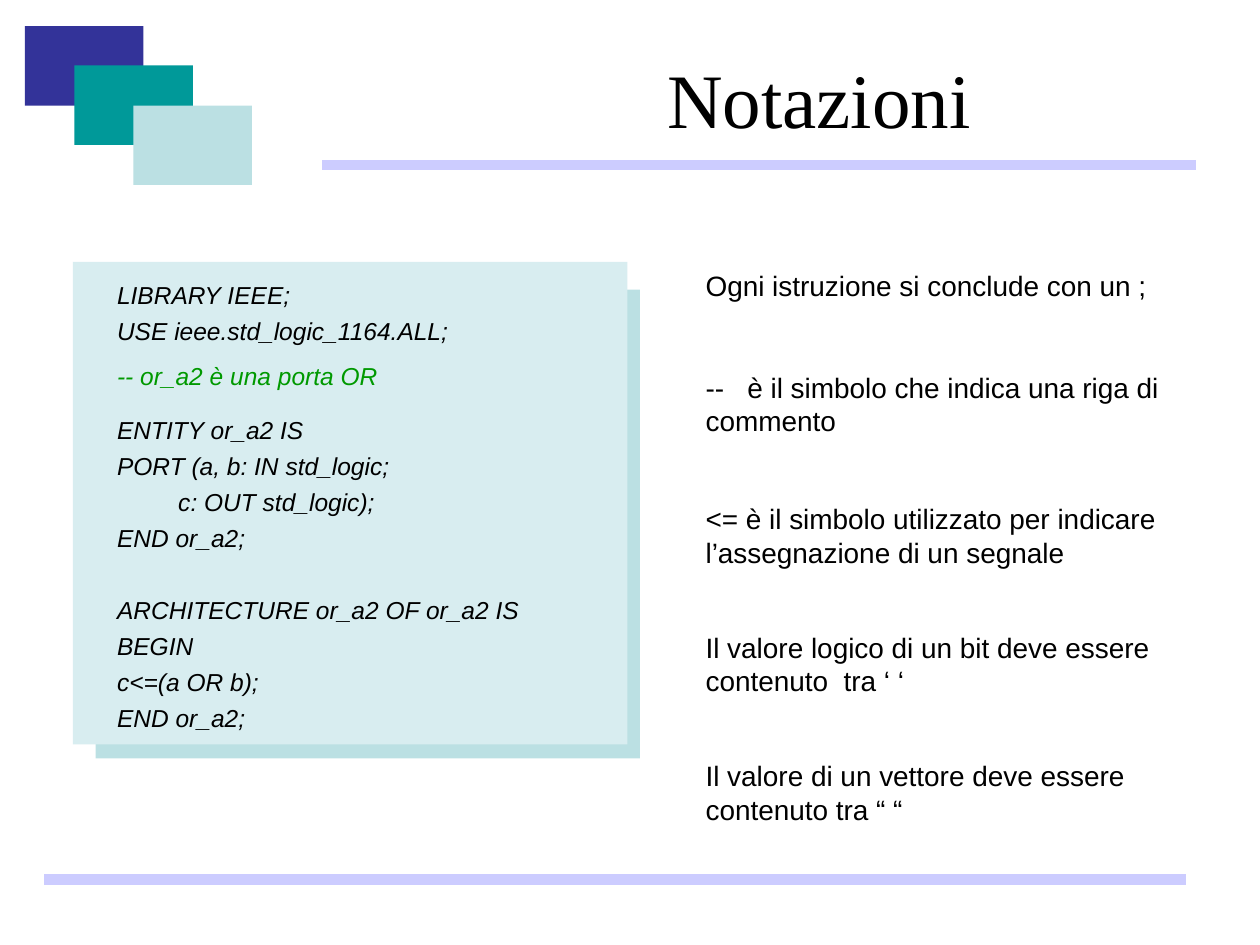
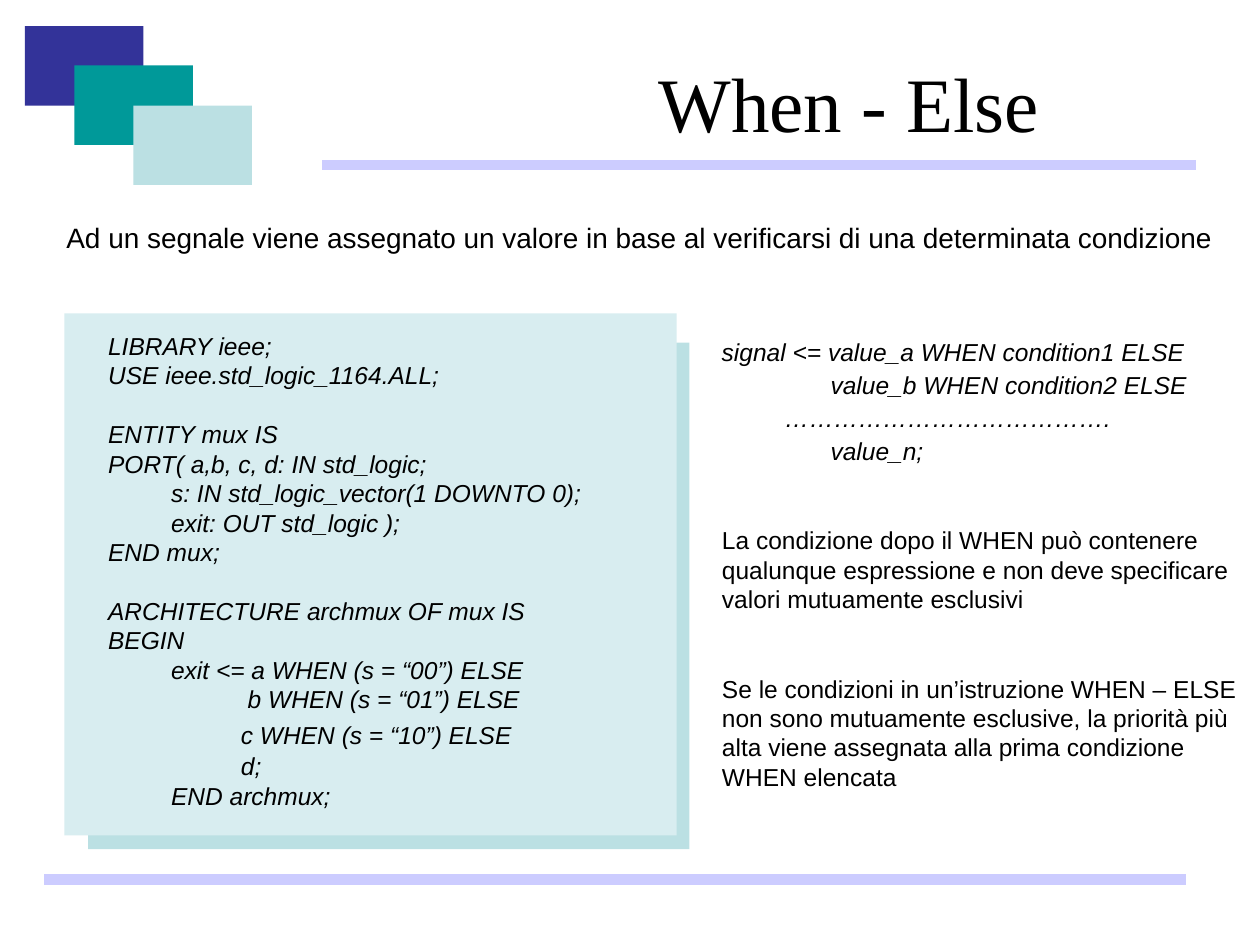
from dataclasses import dataclass

from lxml.etree import SubElement
from pptx import Presentation
from pptx.dml.color import RGBColor
from pptx.enum.shapes import MSO_CONNECTOR as Connector, MSO_SHAPE as Shape
from pptx.enum.text import MSO_ANCHOR as Anchor, MSO_AUTO_SIZE as AutoSize, PP_ALIGN as Align
from pptx.oxml.ns import qn
from pptx.util import Cm, Pt

COLORS = {
    "text": "000000",
    "comment": "009900",
    "navy": "333399",
    "teal": "009999",
    "aqua": "BBE0E3",
    "panel": "D8EDF0",
    "rule": "CCCCFF",
}
TITLE_FONT = "Times New Roman"
TEXT_FONT = "Arial"


@dataclass
class Line:
    text: str
    before: float = 0
    indent: float = 0
    color: str = "text"


def rgb(name):
    return RGBColor.from_string(COLORS[name])


def cm(*lengths):
    return [Cm(length) for length in lengths]


# Basic elements
def add_block(shapes, place, color):
    block = shapes.add_shape(Shape.RECTANGLE, *cm(*place))
    block.shadow.inherit = False
    block.fill.solid()
    block.fill.fore_color.rgb = rgb(color)
    block.line.fill.background()


def add_rule(page, left, right, height):
    rule = page.shapes.add_connector(Connector.STRAIGHT, *cm(left, height, right, height))
    rule.line.color.rgb = rgb("rule")
    rule.line.width = Pt(6)
    SubElement(rule._element.spPr, qn("a:effectLst"))


def place_shape(shape, place):
    shape.left, shape.top, shape.width, shape.height = cm(*place)


def set_font(para, size, color="text", name=TEXT_FONT, italic=False):
    para.font.size = Pt(size)
    para.font.name = name
    para.font.italic = italic
    para.font.color.rgb = rgb(color)


def write_lines(frame, lines, size, italic=False, spacing=1.0):
    frame.word_wrap = True
    frame.auto_size = AutoSize.NONE
    for number, line in enumerate(lines):
        para = frame.paragraphs[0] if number == 0 else frame.add_paragraph()
        para.text = line.text
        para.line_spacing = spacing
        para.space_before = Pt(line.before)
        props = para._p.get_or_add_pPr()
        props.set("marL", str(Cm(line.indent)))
        props.set("indent", "0")
        SubElement(props, qn("a:buNone"))
        set_font(para, size, line.color, italic=italic)


def add_text(shapes, place, lines, size, **style):
    box = shapes.add_textbox(*cm(*place))
    write_lines(box.text_frame, lines, size, **style)


# Parts of a page
def add_page(deck, title, title_place):
    page = deck.slides.add_slide(deck.slide_layouts[1])
    heading = page.shapes.title
    place_shape(heading, title_place)
    heading.text_frame.text = title
    heading.text_frame.vertical_anchor = Anchor.MIDDLE
    para = heading.text_frame.paragraphs[0]
    para.alignment = Align.CENTER
    set_font(para, 44, name=TITLE_FONT)

    for left, top, color in ((0.5, 0.53, "navy"), (1.5, 1.32, "teal"), (2.69, 2.13, "aqua")):
        add_block(page.shapes, (left, top, 2.39, 1.6), color)
    add_rule(page, 6.5, 24.1, 3.33)
    add_rule(page, 0.89, 23.9, 17.73)
    return page


def add_notes(page, place, lines, size):
    body = page.placeholders[1]
    place_shape(body, place)
    write_lines(body.text_frame, lines, size)


def add_code_panel(page, shadow, panel, text_place, lines, spacing=1.0):
    group = page.shapes.add_group_shape()
    add_block(group.shapes, shadow, "aqua")
    add_block(group.shapes, panel, "panel")
    add_text(group.shapes, text_place, lines, 14, italic=True, spacing=spacing)


# Pages
def add_notation_page(deck):
    page = add_page(deck, "Notazioni", (8.89, 0.76, 15.24, 2.41))
    add_notes(page, (13.97, 5.28, 10.16, 11.53), [
        Line("Ogni istruzione si conclude con un ;"),
        Line("--   è il simbolo che indica una riga di commento", 39),
        Line("<= è il simbolo utilizzato per indicare l’assegnazione di un segnale", 37),
        Line("Il valore logico di un bit deve essere contenuto  tra ‘ ‘", 35),
        Line("Il valore di un vettore deve essere contenuto tra “ “", 35),
    ], 16)
    gap = 8.8
    code = [
        Line("LIBRARY IEEE;"),
        Line("USE ieee.std_logic_1164.ALL;", gap),
        Line("-- or_a2 è una porta OR", 14, color="comment"),
        Line("ENTITY or_a2 IS", 19),
        Line("PORT (a, b: IN std_logic;", gap),
        Line("         c: OUT std_logic);", gap),
        Line("END or_a2;", gap),
        Line("ARCHITECTURE or_a2 OF or_a2 IS", 29.3),
        Line("BEGIN", gap),
        Line("c<=(a OR b);", gap),
        Line("END or_a2;", gap),
    ]
    add_code_panel(page, (1.93, 5.84, 10.97, 9.45), (1.47, 5.28, 11.18, 9.73),
                   (2.11, 5.69, 9.55, 9.19), code, spacing=0.7)


def add_when_else_page(deck):
    page = add_page(deck, "When - Else", (10.11, 0.97, 14.02, 2.16))
    add_text(page.shapes, (1.09, 4.32, 23.8, 0.94), [
        Line("Ad un segnale viene assegnato un valore in base al verificarsi "
             "di una determinata condizione"),
    ], 16)
    add_text(page.shapes, (14.3, 6.88, 11.1, 3.05), [
        Line("signal <= value_a WHEN condition1 ELSE"),
        Line("                value_b WHEN condition2 ELSE", 8.8),
        Line("\t………………………………….", 8.8),
        Line("                value_n;", 8.8),
    ], 14, italic=True, spacing=0.6)
    add_notes(page, (14.3, 10.46, 11.1, 5.61), [
        Line("La condizione dopo il WHEN può contenere qualunque espressione "
             "e non deve specificare valori mutuamente esclusivi"),
        Line("Se le condizioni in un’istruzione WHEN – ELSE non sono mutuamente esclusive, "
             "la priorità più alta viene assegnata alla prima condizione WHEN elencata", 34.4),
    ], 14)
    blank, inner = 16.8, 1.27
    code = [
        Line("LIBRARY ieee;"),
        Line("USE ieee.std_logic_1164.ALL;"),
        Line("ENTITY mux IS", blank),
        Line("PORT( a,b, c, d: IN std_logic;"),
        Line("\ts: IN std_logic_vector(1 DOWNTO 0);"),
        Line("\texit: OUT std_logic );"),
        Line("END mux;"),
        Line("ARCHITECTURE archmux OF mux IS", blank),
        Line("BEGIN"),
        Line("exit <= a WHEN (s = “00”) ELSE", indent=inner),
        Line("\t  b WHEN (s = “01”) ELSE", indent=inner),
        Line("\t c WHEN (s = “10”) ELSE", 3.8, inner),
        Line("\t d;", 1, inner),
        Line("END archmux;", indent=inner),
    ]
    add_code_panel(page, (1.78, 6.91, 12.12, 10.21), (1.3, 6.32, 12.34, 10.52),
                   (1.93, 6.55, 11.56, 9.91), code)


def main():
    deck = Presentation()
    deck.slide_width, deck.slide_height = cm(25.4, 19.05)
    add_notation_page(deck)
    add_when_else_page(deck)
    deck.save("out.pptx")


if __name__ == "__main__":
    main()
